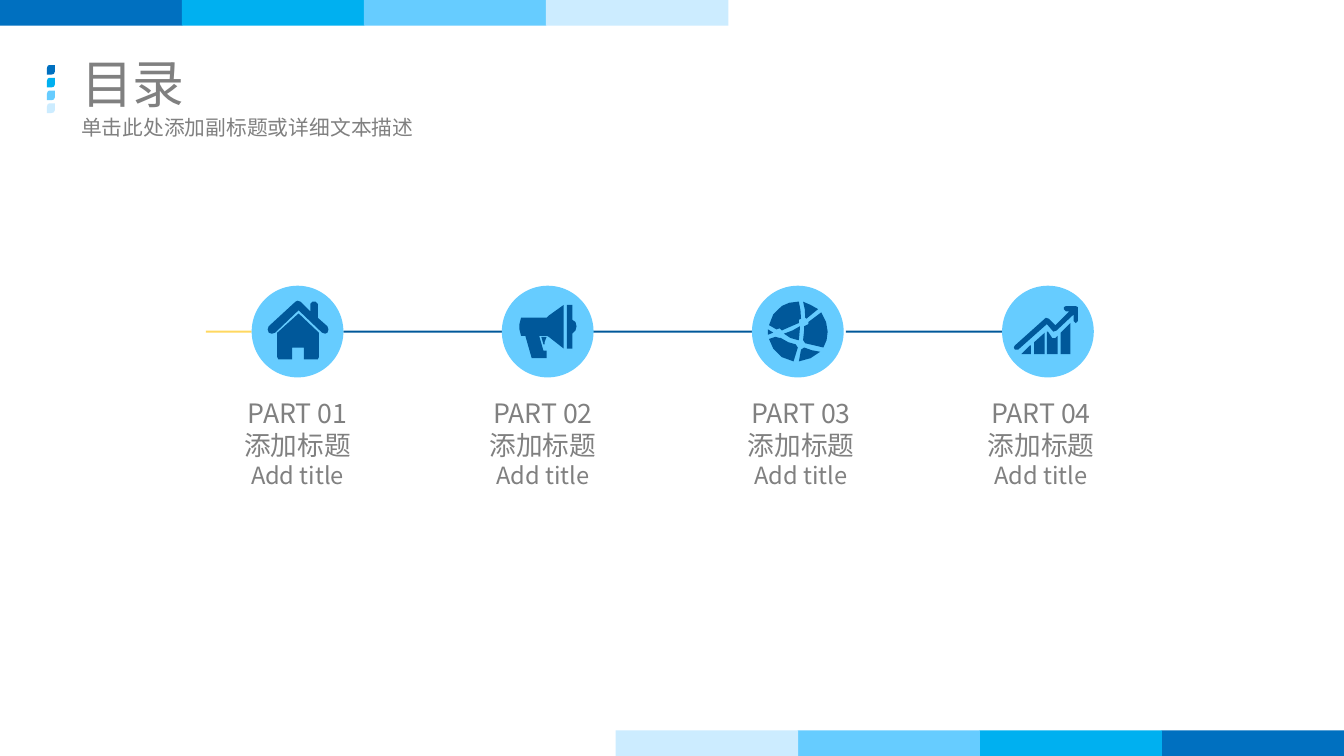
from pptx import Presentation
from pptx.dml.color import RGBColor
from pptx.enum.shapes import MSO_SHAPE
from pptx.enum.text import MSO_ANCHOR, MSO_AUTO_SIZE, PP_ALIGN
from pptx.oxml.ns import qn
from pptx.util import Inches, Pt
from lxml.etree import SubElement

SLIDE_WIDTH, SLIDE_HEIGHT = 12.6, 7.09
PALETTE = ["0070C0", "00B0F0", "66CCFF", "CCECFF"]
BAR_WIDTH, BAR_HEIGHT = 1.71, 0.24
BAR_PITCH = 1.706
CIRCLE_LEFT, CIRCLE_TOP, CIRCLE_SIZE, CIRCLE_PITCH = 2.36, 2.68, 0.86, 2.345
LINE_TOP, LINE_HEIGHT = 3.1, 0.02

LEAF = [[(2, 0), (7.5, 0), (7.5, 6), (6.5, 8.3), (4, 9), (0, 9), (0, 3), (0.7, 0.8)]]

HOUSE = [
    [(44, 26), (63, 44), (63, 67), (62, 69), (49, 69), (49, 58), (38, 58), (38, 69),
     (25, 69), (24, 67), (24, 44)],
    [(43, 14), (46, 15), (55, 24), (55, 17), (57, 15), (60, 15), (62, 17), (62, 30),
     (71, 38), (72, 41), (71, 44), (69, 45), (66, 44), (44, 23), (22, 44), (19, 45),
     (16, 44), (15, 41), (16, 38), (41, 15)],
]

MEGAPHONE = [
    [(18, 30), (42, 30), (44, 28), (58, 18), (58, 59), (44, 48), (42, 47), (35, 47),
     (39, 61), (42, 61), (42, 68), (28, 68), (22, 47), (18, 47), (16.5, 41), (16.5, 36)],
    [(66, 32), (69, 34), (70, 38), (69, 42), (66, 45), (66, 59), (61, 59), (61, 18),
     (66, 18)],
    [(42, 48), (37, 48), (39, 55), (40, 55), (40, 53)],
]

GLOBE = [
    [(43, 15), (44, 15), (45.5, 23), (46, 31), (44, 32), (44, 35), (37, 38), (28, 42),
     (26, 40), (23, 41), (16, 37), (20, 27), (28, 19), (35, 16)],
    [(48, 15), (55, 18), (62, 22), (51, 31), (50, 30), (49.5, 22)],
    [(65, 25), (53, 34), (53, 36), (49, 38), (49, 41), (48, 51), (50, 54), (67, 58),
     (70, 51), (71, 43), (69.5, 34)],
    [(64, 62), (55, 68), (44, 71), (46, 60), (49, 58), (56, 60.5)],
    [(39, 71), (28, 67), (20, 59), (16, 50), (22, 48), (26, 49), (27, 49), (34, 53),
     (41, 55), (43, 58)],
    [(15, 46), (20, 44), (15, 41)],
    [(45, 38), (38, 42), (30, 45), (36, 49), (43, 51), (44, 51), (45, 40)],
]

GROWTH_CHART = [
    [(27, 56), (27, 64), (18, 64), (24, 58), (26, 56)],
    [(40, 44), (40, 64), (30, 64), (30, 53)],
    [(42, 43), (43, 43), (47, 49), (50, 49), (52, 47), (52, 64), (42, 64)],
    [(64, 35), (64, 64), (55, 64), (55, 44)],
    [(60, 19), (69, 19), (71, 20), (71, 33), (69, 35), (67, 33), (67, 27), (51, 42),
     (48, 43), (42, 36), (15, 60), (12, 60), (11, 58), (12, 56), (41, 30), (44, 31),
     (50, 37), (63, 24), (60, 24), (58, 22), (58, 20)],
]


def color(hex_value):
    return RGBColor.from_string(hex_value)


class SlideBuilder:
    font = "Noto Sans CJK SC"
    text_color = "808080"
    dark = "00589A"
    light = "66CCFF"
    accent = "FFD860"

    def __init__(self, slide):
        self.slide = slide

    def paint(self, shape, fill):
        shape.shadow.inherit = False
        shape.fill.solid()
        shape.fill.fore_color.rgb = color(fill)
        shape.line.fill.background()

    def shape(self, kind, left, top, width, height, fill):
        shape = self.slide.shapes.add_shape(
            kind, Inches(left), Inches(top), Inches(width), Inches(height))
        self.paint(shape, fill)

    def rectangle(self, left, top, width, height, fill):
        self.shape(MSO_SHAPE.RECTANGLE, left, top, width, height, fill)

    def outline(self, left, top, contours, fill):
        scaled = [[(x * 10, y * 10) for x, y in contour] for contour in contours]
        builder = self.slide.shapes.build_freeform(*scaled[0][0], scale=Inches(1) / 1000)
        for contour in scaled:
            if contour is not scaled[0]:
                builder.move_to(*contour[0])
            builder.add_line_segments(contour[1:], close=True)
        self.paint(builder.convert_to_shape(Inches(left), Inches(top)), fill)

    def text(self, left, top, width, height, lines, sizes):
        box = self.slide.shapes.add_textbox(
            Inches(left), Inches(top), Inches(width), Inches(height))
        frame = box.text_frame
        frame.text = "\n".join(lines)
        for paragraph, size in zip(frame.paragraphs, sizes):
            for run in paragraph.runs:
                run.font.size = Pt(size)
                run.font.name = self.font
                run.font.color.rgb = color(self.text_color)
                SubElement(run.font._element, qn("a:ea")).set("typeface", self.font)
        return frame

    def heading(self, top, width, height, line, size, anchor):
        frame = self.text(0.63, top, width, height, [line], [size])
        frame.word_wrap = True
        frame.vertical_anchor = anchor
        frame.margin_left = frame.margin_right = Inches(0.13)
        frame.margin_top = frame.margin_bottom = Inches(0.06)
        return frame

    def label(self, left, lines):
        frame = self.text(left, 3.67, 1.2, 0.97, lines, [18, 18, 16])
        frame.word_wrap = False
        frame.auto_size = MSO_AUTO_SIZE.SHAPE_TO_FIT_TEXT
        for paragraph in frame.paragraphs:
            paragraph.alignment = PP_ALIGN.CENTER

    def stop(self, left, icon):
        self.shape(MSO_SHAPE.OVAL, left, CIRCLE_TOP, CIRCLE_SIZE, CIRCLE_SIZE, self.light)
        self.outline(left, CIRCLE_TOP, icon, self.dark)


def main():
    presentation = Presentation()
    presentation.slide_width = Inches(SLIDE_WIDTH)
    presentation.slide_height = Inches(SLIDE_HEIGHT)
    builder = SlideBuilder(presentation.slides.add_slide(presentation.slide_layouts[6]))

    for index, fill in enumerate(PALETTE):
        offset = index * BAR_PITCH
        builder.rectangle(offset, 0, BAR_WIDTH, BAR_HEIGHT, fill)
        builder.rectangle(SLIDE_WIDTH - BAR_WIDTH - offset, SLIDE_HEIGHT - BAR_HEIGHT,
                          BAR_WIDTH, BAR_HEIGHT, fill)
        builder.outline(0.44, 0.61 + index * 0.12, LEAF, fill)

    builder.heading(0.52, 3.02, 0.51, "目录", 35, MSO_ANCHOR.MIDDLE)
    subtitle = builder.heading(1.02, 11.34, 0.42, "单击此处添加副标题或详细文本描述", 14,
                               MSO_ANCHOR.TOP)
    subtitle.paragraphs[0].space_before = Pt(2.8)

    builder.rectangle(1.93, LINE_TOP, 0.43, LINE_HEIGHT, builder.accent)
    for line_left in (3.22, 5.56, 7.93):
        builder.rectangle(line_left, LINE_TOP, 1.5, LINE_HEIGHT, builder.dark)

    icons = [HOUSE, MEGAPHONE, GLOBE, GROWTH_CHART]
    label_lefts = [2.19, 4.49, 6.91, 9.16]
    for index, (icon, label_left) in enumerate(zip(icons, label_lefts)):
        builder.stop(CIRCLE_LEFT + index * CIRCLE_PITCH, icon)
        builder.label(label_left, [f"PART {index + 1:02}", "添加标题", "Add title"])

    presentation.save("out.pptx")


if __name__ == "__main__":
    main()
